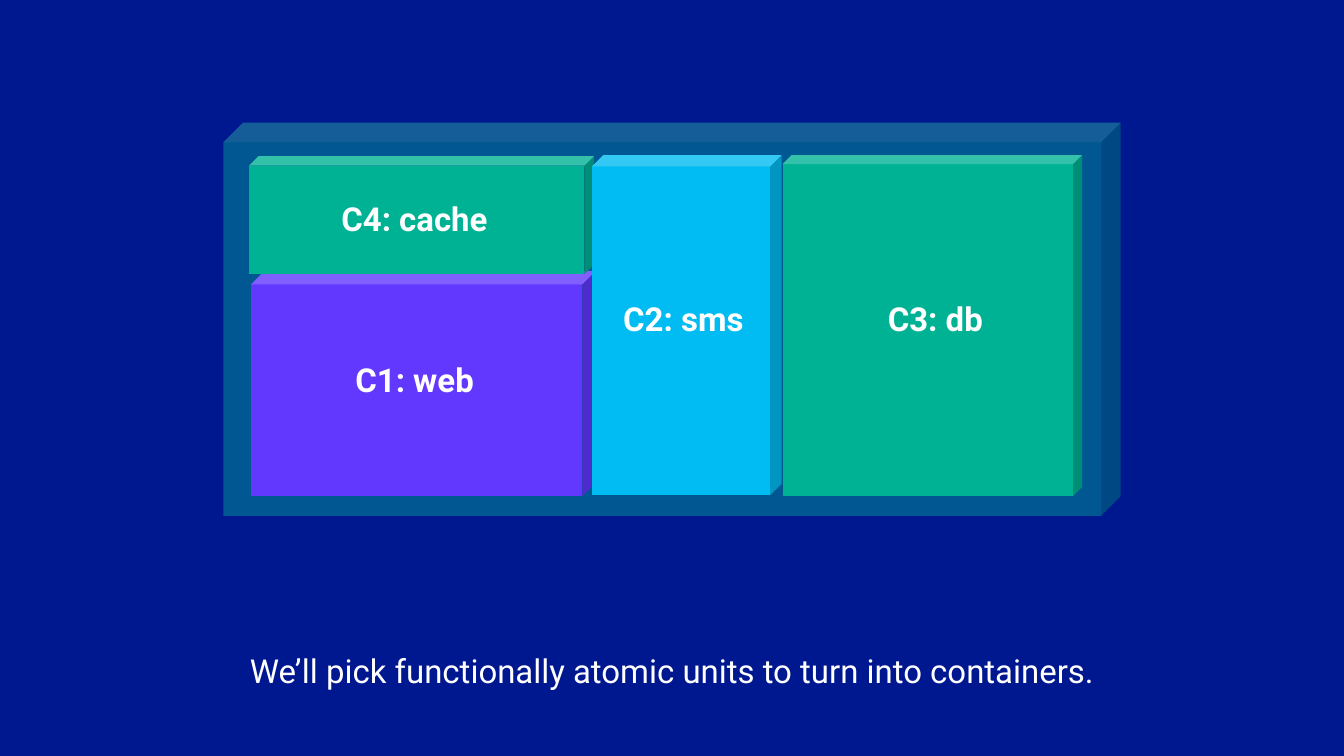
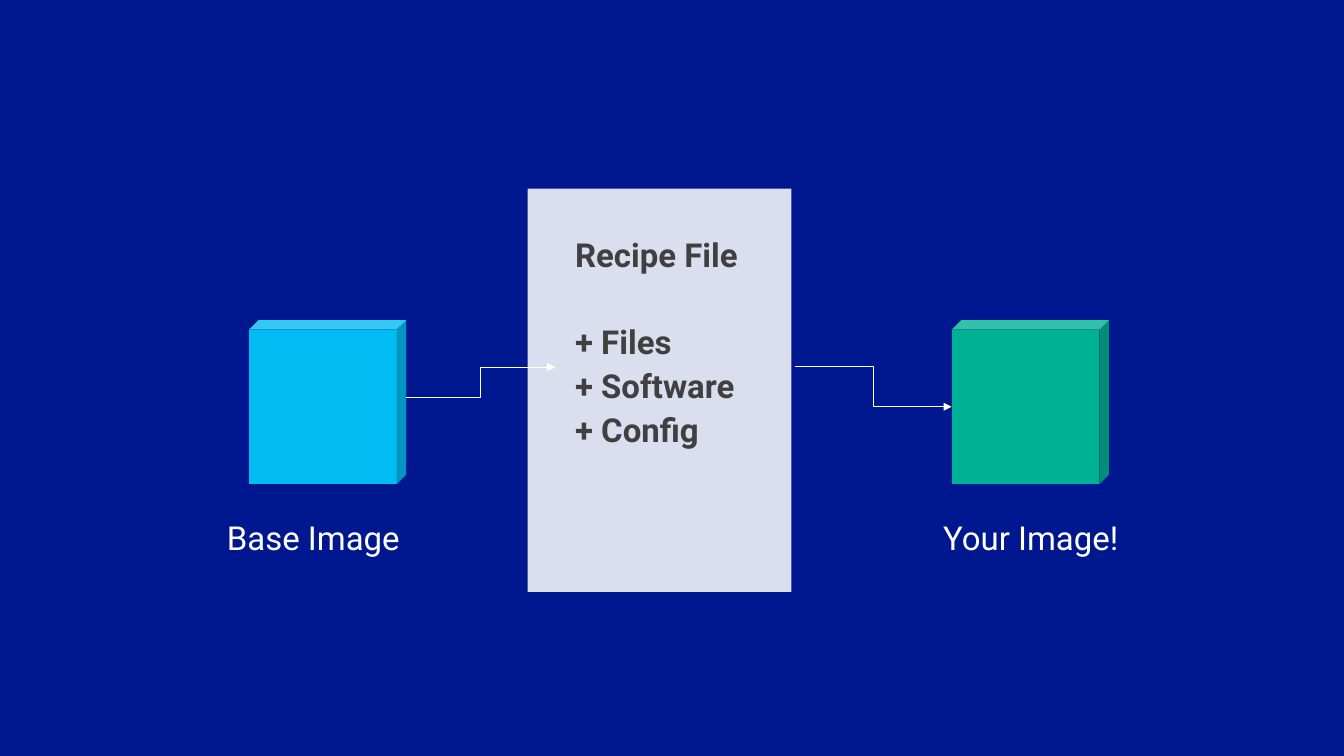
from lxml.etree import SubElement
from pptx import Presentation
from pptx.dml.color import RGBColor
from pptx.enum.shapes import MSO_CONNECTOR as Connector, MSO_SHAPE as Preset
from pptx.enum.text import MSO_ANCHOR as Anchor, MSO_AUTO_SIZE as AutoSize, PP_ALIGN as Align
from pptx.oxml.ns import qn
from pptx.util import Pt

COLORS = {
    "navy": "00188F",
    "white": "FFFFFF",
    "charcoal": "404040",
    "green": "00B294",
    "purple": "6238FF",
    "sky": "00BCF2",
}
FONT = "Roboto"
PAGE_WIDTH, PAGE_HEIGHT = 979.2, 550.8
LINE_HEIGHT = 49.7
TITLE_ONLY, TITLE_AND_CONTENT = 5, 1


def color(name):
    return RGBColor.from_string(COLORS[name])


def write_text(box, lines, ink="white", bold=False, align=Align.CENTER):
    """Fill a text box or placeholder with one paragraph per line."""
    frame = box.text_frame
    frame.word_wrap = True
    frame.auto_size = AutoSize.NONE
    frame.vertical_anchor = Anchor.TOP
    frame.margin_left = frame.margin_right = Pt(14.4)
    frame.margin_top = frame.margin_bottom = Pt(11.5)
    for index, line in enumerate(lines):
        para = frame.add_paragraph() if index else frame.paragraphs[0]
        para.alignment = align
        para.line_spacing = 0.9
        para.space_before = Pt(0)
        para.space_after = Pt(6)
        properties = para._p.get_or_add_pPr()
        properties.set("marL", "0")
        properties.set("indent", "0")
        SubElement(properties, qn("a:buNone"))
        span = para.add_run()
        span.text = line
        span.font.name = FONT
        span.font.size = Pt(24)
        span.font.bold = bold
        span.font.color.rgb = color(ink)


def add_label(page, text, left, top, width, **style):
    box = page.shapes.add_textbox(Pt(left), Pt(top), Pt(width), Pt(LINE_HEIGHT))
    write_text(box, [text], **style)


def place_text(page, placeholder, lines, left, top, width, height, **style):
    """Move a placeholder in front of the drawn shapes and fill it."""
    placeholder.left, placeholder.top = Pt(left), Pt(top)
    placeholder.width, placeholder.height = Pt(width), Pt(height)
    page.shapes.element.append(placeholder.element)
    write_text(placeholder, lines, **style)


def add_block(page, preset, fill, left, top, width, height, depth=None, opacity=100):
    """Add a borderless shape; depth is the cube's share of its shorter side."""
    block = page.shapes.add_shape(preset, Pt(left), Pt(top), Pt(width), Pt(height))
    block.shadow.inherit = False
    block.line.fill.background()
    block.fill.solid()
    block.fill.fore_color.rgb = color(fill)
    if depth is not None:
        block.adjustments[0] = depth
    if opacity < 100:
        solid = block.element.spPr.find(qn("a:solidFill"))
        SubElement(solid[0], qn("a:alpha"), val=str(opacity * 1000))


def add_elbow_arrow(page, start, end):
    arrow = page.shapes.add_connector(
        Connector.ELBOW, *[Pt(value) for value in (*start, *end)])
    arrow.line.width = Pt(0.75)
    arrow.line.color.rgb = color("white")
    properties = arrow.element.spPr
    SubElement(properties.find(qn("a:ln")), qn("a:tailEnd"), type="triangle")
    SubElement(properties, qn("a:effectLst"))


def build_containers_slide(deck):
    page = deck.slides.add_slide(deck.slide_layouts[TITLE_ONLY])
    add_block(page, Preset.CUBE, "green", 162.7, 89.3, 653.8, 286.6, depth=0.05, opacity=41)
    for fill, left, top, width, height, depth in (
        ("purple", 182.9, 197.3, 251.3, 164.2, 0.06),
        ("green", 181.4, 113.8, 251.3, 85.7, 0.08),
        ("sky", 431.3, 113, 138.2, 247.7, 0.06),
        ("green", 570.2, 113, 218.2, 248.4, 0.03),
    ):
        add_block(page, Preset.CUBE, fill, left, top, width, height, depth=depth)
    for text, left, top, width in (
        ("C1: web", 176.4, 253.4, 251.3),
        ("C2: sms", 419.8, 209.5, 156.2),
        ("C3: db", 555.8, 209.5, 251.3),
        ("C4: cache", 223.9, 136.1, 156.2),
    ):
        add_label(page, text, left, top, width, bold=True)
    place_text(page, page.shapes.title,
               ["We’ll pick functionally atomic units to turn into containers."],
               0, 465.8, PAGE_WIDTH, LINE_HEIGHT)


def build_image_slide(deck):
    page = deck.slides.add_slide(deck.slide_layouts[TITLE_AND_CONTENT])
    title, body = page.placeholders
    add_block(page, Preset.RECTANGLE, "white", 384.5, 137.5, 192.2, 293.8, opacity=86)
    for text, fill, cube_left, label_left in (
        ("Base Image", "sky", 181.4, 135.4),
        ("Your Image!", "green", 693.4, 658.1),
    ):
        add_block(page, Preset.CUBE, fill, cube_left, 233.3, 114.5, 119.5, depth=0.06)
        add_label(page, text, label_left, 368.6, 185.8)
    file_style = {"ink": "charcoal", "bold": True, "align": Align.LEFT}
    place_text(page, title, ["Recipe File"], 404.6, 162.5, 185.8, LINE_HEIGHT, **file_style)
    place_text(page, body, ["+ Files", "+ Software", "+ Config"],
               404.6, 226, 185.8, 115, **file_style)
    add_elbow_arrow(page, (295.9, 289.4), (404.6, 267.5))
    add_elbow_arrow(page, (578.9, 266.8), (693.4, 296.4))


def main():
    deck = Presentation()
    deck.slide_width, deck.slide_height = Pt(PAGE_WIDTH), Pt(PAGE_HEIGHT)
    background = deck.slide_master.background.fill
    background.solid()
    background.fore_color.rgb = color("navy")
    build_containers_slide(deck)
    build_image_slide(deck)
    deck.save("out.pptx")


if __name__ == "__main__":
    main()
